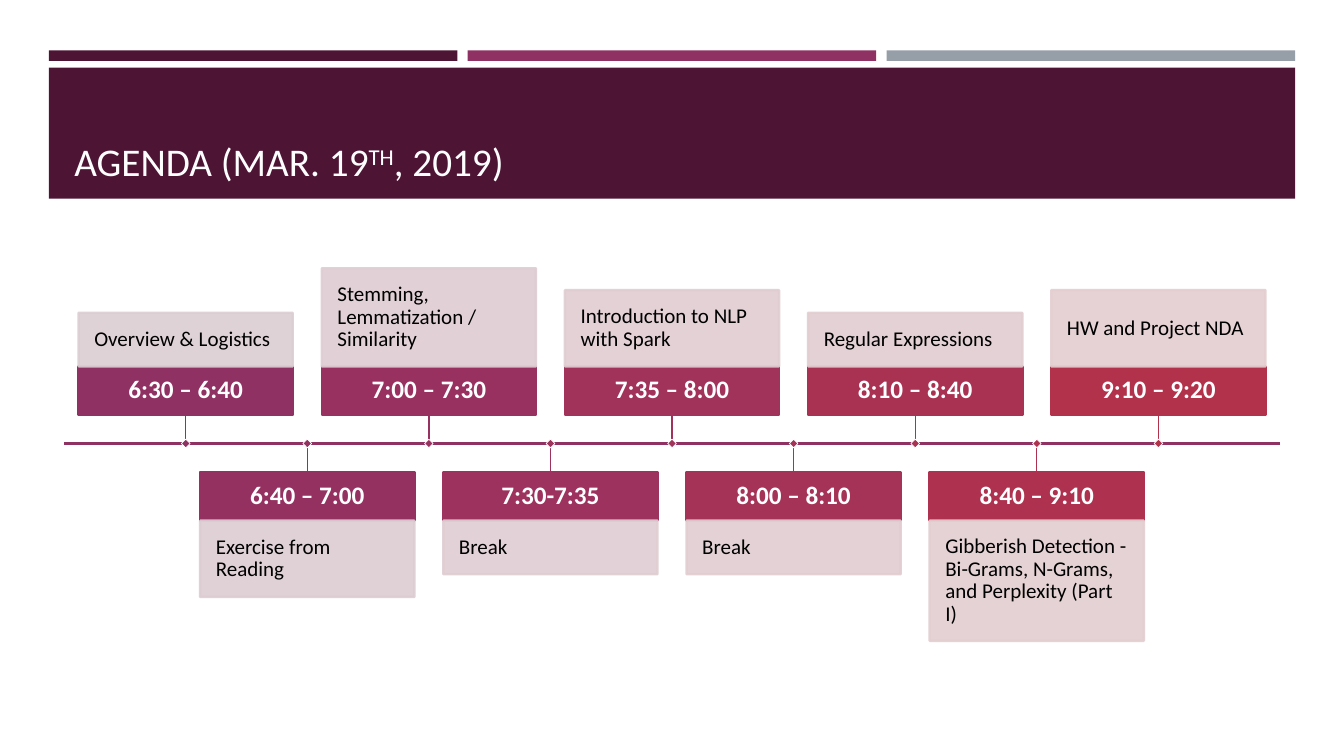
from dataclasses import dataclass

from lxml import etree
from pptx import Presentation
from pptx.dml.color import RGBColor
from pptx.enum.shapes import MSO_CONNECTOR, MSO_SHAPE
from pptx.enum.text import MSO_ANCHOR, MSO_AUTO_SIZE, PP_ALIGN
from pptx.oxml.ns import qn
from pptx.util import Pt

RECT = MSO_SHAPE.RECTANGLE
STRAIGHT = MSO_CONNECTOR.STRAIGHT
LEFT, CENTER = PP_ALIGN.LEFT, PP_ALIGN.CENTER
MIDDLE, BOTTOM = MSO_ANCHOR.MIDDLE, MSO_ANCHOR.BOTTOM


@dataclass(frozen=True)
class Theme:
    """Colours, font and type sizes of the deck."""
    font: str = "Calibri"
    dark: str = "4D1434"
    plum: str = "903163"
    grey: str = "969FA7"
    white: str = "FFFFFF"
    title_text: str = "FFFEFF"
    body_text: str = "000000"
    times: tuple = ("903163", "943161", "98315F", "9C325D", "A1325A",
                    "A53257", "A93253", "AE324F", "B2324B")
    tints: tuple = ("DBCED3", "DDCDD3", "DECDD2", "DFCDD2", "E0CDD2",
                    "E1CDD1", "E2CDD1", "E3CED0", "E4CED0")
    tint_alpha: int = 90
    title_size: int = 28
    time_size: int = 18
    body_size: int = 15


THEME = Theme()
BODY_HEIGHTS = {1: 38.3, 2: 54.5, 3: 70, 4: 85.9}
AGENDA = [
    ("6:30 – 6:40", "Overview & Logistics", 1),
    ("6:40 – 7:00", "Exercise from Reading", 2),
    ("7:00 – 7:30", "Stemming, Lemmatization / Similarity", 3),
    ("7:30-7:35", "Break", 1),
    ("7:35 – 8:00", "Introduction to NLP with Spark", 2),
    ("8:00 – 8:10", "Break", 1),
    ("8:10 – 8:40", "Regular Expressions", 1),
    ("8:40 – 9:10", "Gibberish Detection - Bi-Grams, N-Grams, and Perplexity (Part I)", 4),
    ("9:10 – 9:20", "HW and Project NDA", 2),
]


def apply_format(target, values):
    """Set each named attribute of the target."""
    for name, value in values.items():
        setattr(target, name, value)


def set_alpha(sp, percent):
    """Make the fill and line of a shape partly transparent."""
    for color in sp._element.spPr.iter(qn("a:srgbClr")):
        etree.SubElement(color, qn("a:alpha")).set("val", str(percent * 1000))


def add_rect(s, box, color, line=None, weight=1.75):
    """Draw a filled rectangle with an optional outline."""
    sp = s.shapes.add_shape(RECT, *map(Pt, box))
    sp.shadow.inherit = False
    sp.fill.solid()
    sp.fill.fore_color.rgb = RGBColor.from_string(color)
    if line:
        sp.line.color.rgb = RGBColor.from_string(line)
        sp.line.width = Pt(weight)
    else:
        sp.line.fill.background()
    return sp


def add_line(s, start, end, color, weight):
    """Draw a straight line without shadow."""
    ln = s.shapes.add_connector(STRAIGHT, *map(Pt, (*start, *end)))
    ln.line.color.rgb = RGBColor.from_string(color)
    ln.line.width = Pt(weight)
    etree.SubElement(ln._element.spPr, qn("a:effectLst"))


def add_run(p, text, size, color, bold=False):
    """Append a formatted run to a paragraph."""
    r = p.add_run()
    r.text = text
    apply_format(r.font, {"name": THEME.font, "size": Pt(size), "bold": bold})
    r.font.color.rgb = RGBColor.from_string(color)
    return r


def write_card(sp, text, size, color, inset, align, bold=False):
    """Write one paragraph into a card, centred vertically."""
    tf = sp.text_frame
    margins = {f"margin_{side}": Pt(inset) for side in ("left", "right", "top", "bottom")}
    apply_format(tf, {"word_wrap": True, "vertical_anchor": MIDDLE, **margins})
    p = tf.paragraphs[0]
    apply_format(p, {"alignment": align, "line_spacing": 0.9})
    add_run(p, text, size, color, bold)


def add_header(s, box):
    """Draw three accent bars and the title banner in the box."""
    x, y, w, h = box
    gap, bar_h, banner_dy = 7.4, 7.6, 12.4
    bar_w = (w - 2 * gap) / 3
    for i, color in enumerate((THEME.dark, THEME.plum, THEME.grey)):
        add_rect(s, (x + i * (bar_w + gap), y, bar_w, bar_h), color)
    add_rect(s, (x, y + banner_dy, w, h - banner_dy), THEME.dark)

    title = s.shapes.title
    s.shapes._spTree.append(title._element)
    apply_format(title, {"left": Pt(x + 11), "top": Pt(y + 19.5),
                         "width": Pt(w - 22), "height": Pt(h - 26)})
    tf = title.text_frame
    apply_format(tf, {"word_wrap": True, "auto_size": MSO_AUTO_SIZE.NONE,
                      "vertical_anchor": BOTTOM})
    p = tf.paragraphs[0]
    p.alignment = LEFT
    for text, baseline in (("AGENDA (MAR. 19", 0), ("TH", 30000), (", 2019)", 0)):
        r = add_run(p, text, THEME.title_size, THEME.title_text)
        r._r.get_or_add_rPr().set("baseline", str(baseline))


def add_event(s, center, axis_y, above, event, color, tint):
    """Draw a time card, its description, stem and marker on the axis."""
    time, text, lines = event
    card_w, time_h, stem, marker = 153, 34.9, 20.2, 4.4
    body_h = BODY_HEIGHTS[lines]
    x = center - card_w / 2
    if above:
        stem_y = axis_y - stem
        time_y = stem_y - time_h
        body_y = time_y - body_h
    else:
        stem_y = time_y = axis_y + stem
        body_y = time_y + time_h
    sp = add_rect(s, (x, time_y, card_w, time_h), color, color)
    write_card(sp, time, THEME.time_size, THEME.white, 7.2, CENTER, True)
    sp = add_rect(s, (x, body_y, card_w, body_h), tint, tint)
    set_alpha(sp, THEME.tint_alpha)
    write_card(sp, text, THEME.body_size, THEME.body_text, 11.2, LEFT)
    add_line(s, (center, stem_y), (center, axis_y), color, 1)
    sp = add_rect(s, (center - marker / 2, axis_y - marker / 2, marker, marker),
                  color, THEME.white, 0.5)
    sp.rotation = 45


def add_timeline(s, box):
    """Draw the axis and alternate the events above and below it."""
    x, y, w, h = box
    axis_y = y + h / 2
    pitch = w / (len(AGENDA) + 1)
    add_line(s, (x, axis_y), (x + w, axis_y), THEME.plum, 1.75)
    for i, (event, color, tint) in enumerate(zip(AGENDA, THEME.times, THEME.tints)):
        add_event(s, x + (i + 1) * pitch, axis_y, i % 2 == 0, event, color, tint)


def add_agenda_slide(prs):
    """Add the agenda slide with its header and timeline."""
    s = prs.slides.add_slide(prs.slide_layouts[5])
    add_header(s, (34.9, 36, 890.2, 106))
    add_timeline(s, (45.8, 176.8, 868.5, 280))


def main():
    """Build and save the presentation."""
    prs = Presentation()
    apply_format(prs, {"slide_width": Pt(960), "slide_height": Pt(540)})
    add_agenda_slide(prs)
    prs.save("out.pptx")


if __name__ == "__main__":
    main()
